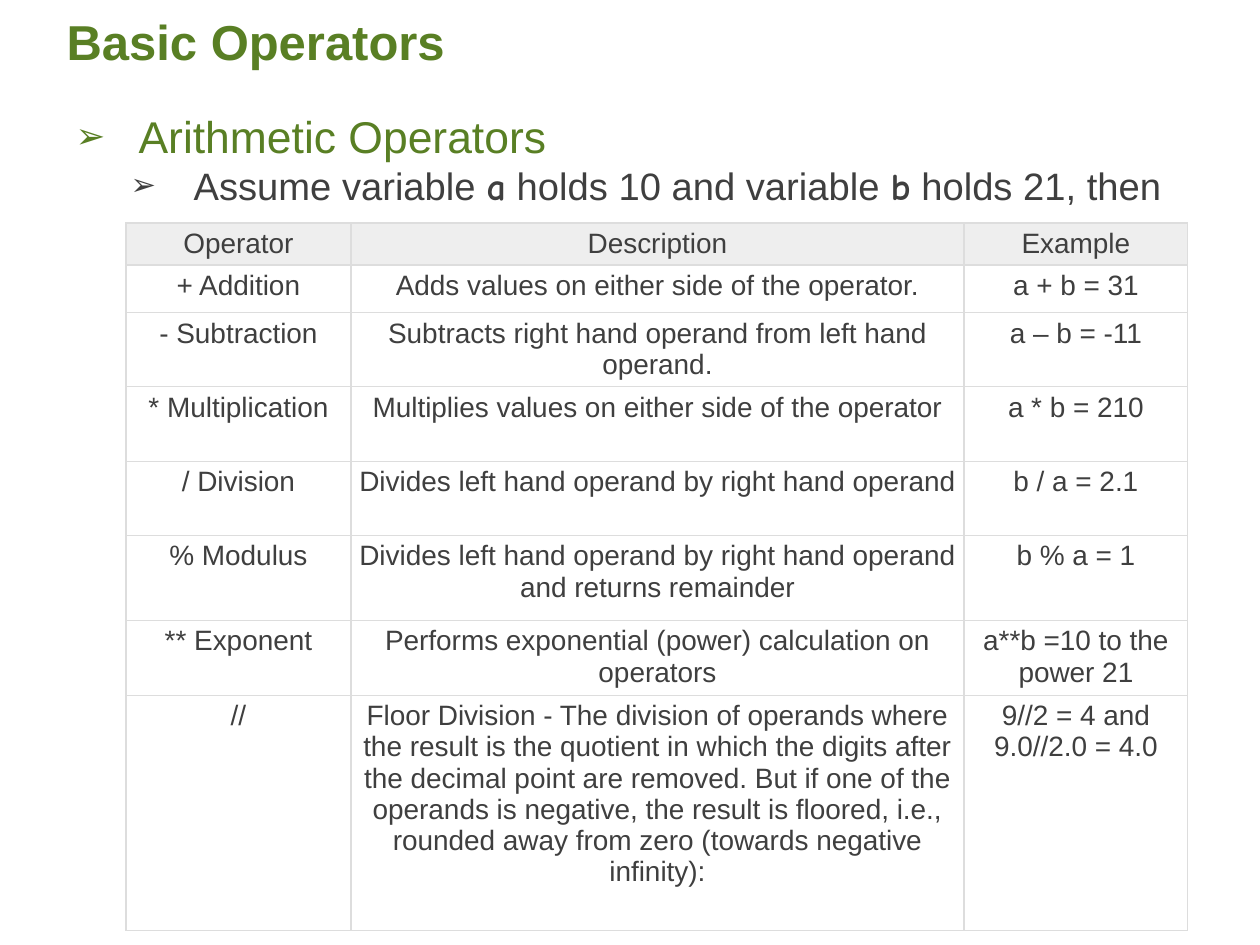
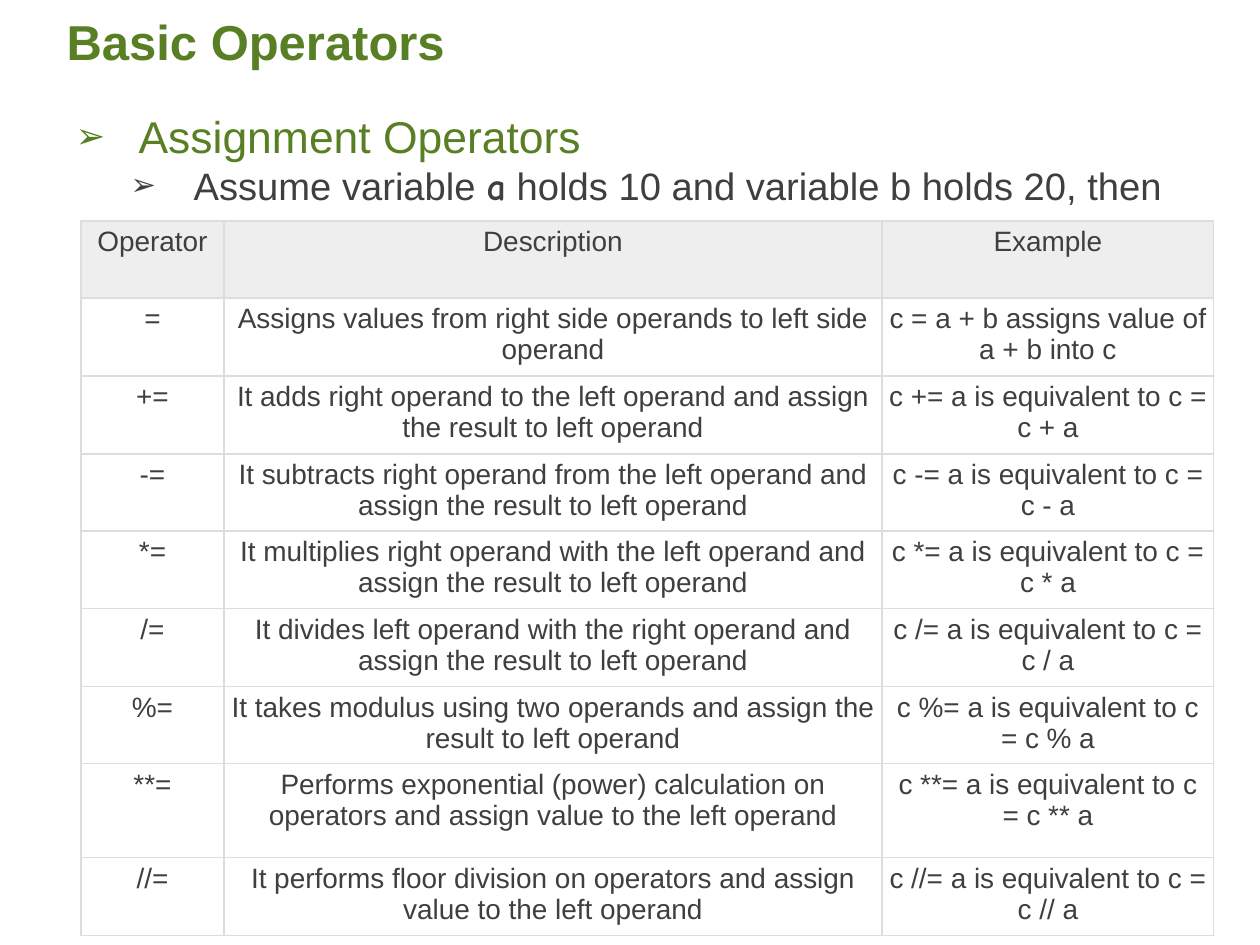
import pptx
import pptx.util
import pptx.dml.color
import pptx.enum.text
import pptx.oxml
import pptx.oxml.ns

PX = 914400 // 126
COLORS = {"green": "597F24", "text": "3F3F3F", "header": "EEEEEE", "border": "DDDDDD"}
BODY_FONT = "Arial"
VARIABLE_FONT = "Comic Neue"
HEADINGS = ("Operator", "Description", "Example")
CELL_INSET = 5
ALIGN = pptx.enum.text.PP_ALIGN

lessons = [
    {
        "topic": "Arithmetic Operators",
        "premise": [("Assume variable ", False), ("a", True), (" holds 10 and variable ", False),
                    ("b", True), (" holds 21, then", False)],
        "body_width": 1234,
        "corner": (126, 223),
        "columns": (225, 613, 224),
        "heights": (42, 48, 74, 75, 74, 85, 75, 235),
        "operators": [
            ("+ Addition", "Adds values on either side of the operator.", "a + b = 31"),
            ("- Subtraction", "Subtracts right hand operand from left hand operand.", "a – b = -11"),
            ("* Multiplication", "Multiplies values on either side of the operator", "a * b = 210"),
            ("/ Division", "Divides left hand operand by right hand operand", "b / a = 2.1"),
            ("% Modulus", "Divides left hand operand by right hand operand and returns remainder",
             "b % a = 1"),
            ("** Exponent", "Performs exponential (power) calculation on operators",
             "a**b =10 to the power 21"),
            ("//", "Floor Division - The division of operands where the result is the quotient "
             "in which the digits after the decimal point are removed. But if one of the operands "
             "is negative, the result is floored, i.e., rounded away from zero (towards negative "
             "infinity):", "9//2 = 4 and 9.0//2.0 = 4.0"),
        ],
    },
    {
        "topic": "Assignment Operators",
        "premise": [("Assume variable ", False), ("a", True),
                    (" holds 10 and variable b holds 20, then", False)],
        "body_width": 1134,
        "corner": (81, 221),
        "columns": (143, 658, 332),
        "heights": (77, 78, 78, 77, 78, 78, 77, 94, 78),
        "operators": [
            ("=", "Assigns values from right side operands to left side operand",
             "c = a + b assigns value of a + b into c"),
            ("+=", "It adds right operand to the left operand and assign the result to left operand",
             "c += a is equivalent to c = c + a"),
            ("-=", "It subtracts right operand from the left operand and assign the result to left "
             "operand", "c -= a is equivalent to c = c - a"),
            ("*=", "It multiplies right operand with the left operand and assign the result to left "
             "operand", "c *= a is equivalent to c = c * a"),
            ("/=", "It divides left operand with the right operand and assign the result to left "
             "operand", "c /= a is equivalent to c = c / a"),
            ("%=", "It takes modulus using two operands and assign the result to left operand",
             "c %= a is equivalent to c = c % a"),
            ("**=", "Performs exponential (power) calculation on operators and assign value to the "
             "left operand", "c **= a is equivalent to c = c ** a"),
            ("//=", "It performs floor division on operators and assign value to the left operand",
             "c //= a is equivalent to c = c // a"),
        ],
    },
]


def add_run(paragraph, text, size, color, font=BODY_FONT, bold=False):
    run = paragraph.add_run()
    run.text = text
    run.font.size = pptx.util.Pt(size)
    run.font.name = font
    run.font.bold = bold
    run.font.color.rgb = pptx.dml.color.RGBColor.from_string(COLORS[color])


def place(placeholder, left, top, width, height):
    """Move a placeholder to a px box and keep its text at full size."""
    placeholder.left, placeholder.top = left * PX, top * PX
    placeholder.width, placeholder.height = width * PX, height * PX
    placeholder.text_frame.word_wrap = True
    placeholder.text_frame.auto_size = pptx.enum.text.MSO_AUTO_SIZE.NONE


deck = pptx.Presentation()
deck.slide_width = pptx.util.Inches(10)
deck.slide_height = pptx.util.Inches(7.5)

for lesson in lessons:
    slide = deck.slides.add_slide(deck.slide_layouts[1])

    title = slide.shapes.title
    place(title, 54, 14, 1134, 63)
    title.text_frame.vertical_anchor = pptx.enum.text.MSO_ANCHOR.BOTTOM
    title.text_frame.margin_top, title.text_frame.margin_bottom = 5 * PX, 6 * PX
    heading = title.text_frame.paragraphs[0]
    heading.alignment = ALIGN.LEFT
    heading.line_spacing = 0.9
    add_run(heading, "Basic Operators", 28, "green", bold=True)

    body = slide.placeholders[1]
    place(body, 63, 103, lesson["body_width"], 828)
    topic = body.text_frame.paragraphs[0]
    premise = body.text_frame.add_paragraph()
    premise.level = 1
    for paragraph, indent in ((topic, 63), (premise, 118)):
        paragraph.alignment = ALIGN.JUSTIFY
        paragraph.space_before = pptx.util.Pt(0)
        properties = paragraph._p.get_or_add_pPr()
        properties.set("marL", str(indent * PX))
        properties.set("indent", str(-63 * PX))
        for bullet in ('buSzPct {} val="80000"', 'buChar {} char="➢"'):
            properties.append(pptx.oxml.parse_xml(
                f"<a:{bullet.format(pptx.oxml.ns.nsdecls('a'))}/>"))
    add_run(topic, lesson["topic"], 25.4, "green")
    for text, is_variable in lesson["premise"]:
        add_run(premise, text, 21.8, "text", VARIABLE_FONT if is_variable else BODY_FONT, is_variable)

    rows = [HEADINGS] + lesson["operators"]
    left, top = lesson["corner"]
    operators = slide.shapes.add_table(
        len(rows), len(HEADINGS), left * PX, top * PX,
        sum(lesson["columns"]) * PX, sum(lesson["heights"]) * PX).table
    operators.first_row = operators.horz_banding = False
    for column, width in zip(operators.columns, lesson["columns"]):
        column.width = width * PX
    for row, height in zip(operators.rows, lesson["heights"]):
        row.height = height * PX

    for r, row_texts in enumerate(rows):
        for c, text in enumerate(row_texts):
            cell = operators.cell(r, c)
            cell.margin_left = cell.margin_right = CELL_INSET * PX
            cell.margin_top = cell.margin_bottom = CELL_INSET * PX
            for side in "LRTB":
                cell._tc.get_or_add_tcPr().append(pptx.oxml.parse_xml(
                    f'<a:ln{side} {pptx.oxml.ns.nsdecls("a")} w="9525"><a:solidFill>'
                    f'<a:srgbClr val="{COLORS["border"]}"/></a:solidFill></a:ln{side}>'))
            if r == 0:
                cell.fill.solid()
                cell.fill.fore_color.rgb = pptx.dml.color.RGBColor.from_string(COLORS["header"])
            else:
                cell.fill.background()
            entry = cell.text_frame.paragraphs[0]
            entry.alignment = ALIGN.CENTER
            add_run(entry, text, 16, "text")

deck.save("out.pptx")
